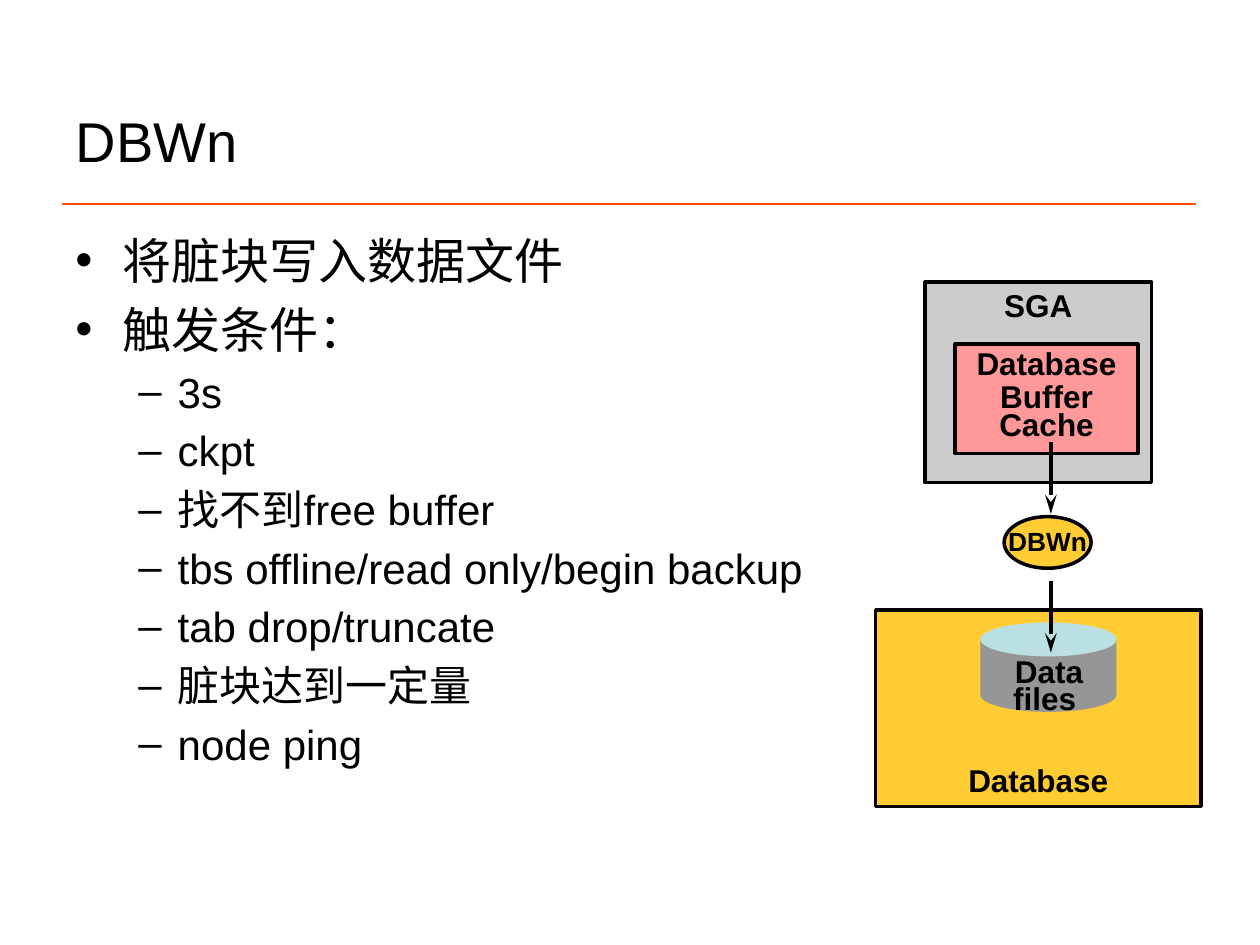
from lxml.etree import SubElement
from pptx import Presentation
from pptx.dml.color import RGBColor
from pptx.enum.shapes import MSO_CONNECTOR, MSO_SHAPE
from pptx.enum.text import MSO_ANCHOR, PP_ALIGN
from pptx.oxml.ns import qn
from pptx.util import Pt

FONT = "Arial"
BLACK = RGBColor(0x00, 0x00, 0x00)
ORANGE = RGBColor(0xFE, 0x4D, 0x11)
AMBER = RGBColor(0xFF, 0xCC, 0x33)
SILVER = RGBColor(0xCC, 0xCC, 0xCC)
GRAY = RGBColor(0x96, 0x96, 0x96)
PINK = RGBColor(0xFF, 0x99, 0x99)
PALE_BLUE = RGBColor(0xBB, 0xE0, 0xE3)

# Per level: bullet, left indent, hanging indent, size, space before
LEVELS = [("•", 27, 27, 28, 5.6), ("–", 58.5, 22.5, 24, 4.7)]
BULLETS = [
    (0, "将脏块写入数据文件"),
    (0, "触发条件："),
    (1, "3s"),
    (1, "ckpt"),
    (1, "找不到free buffer"),
    (1, "tbs offline/read only/begin backup"),
    (1, "tab drop/truncate"),
    (1, "脏块达到一定量"),
    (1, "node ping"),
]


def add_run(p, text, size, bold=False):
    r = p.add_run()
    r.text = text
    r.font.name = FONT
    r.font.size = Pt(size)
    r.font.bold = bold
    r.font.color.rgb = BLACK


def add_label(p, text, spacing, size=18):
    p.alignment = PP_ALIGN.CENTER
    p.line_spacing = spacing
    add_run(p, text, size, bold=True)


def add_block(shapes, kind, box, fill, outlined=True, anchor=MSO_ANCHOR.MIDDLE):
    sp = shapes.add_shape(kind, *map(Pt, box))
    sp.shadow.inherit = False
    sp.fill.solid()
    sp.fill.fore_color.rgb = fill
    if outlined:
        sp.line.color.rgb = BLACK
        sp.line.width = Pt(2)
    else:
        sp.line.fill.background()
    tf = sp.text_frame
    tf.word_wrap = False
    tf.vertical_anchor = anchor
    tf.margin_left = tf.margin_right = tf.margin_top = tf.margin_bottom = Pt(3.6)
    return tf


def add_line(s, x1, y1, x2, y2, color, width, arrow=False):
    line = s.shapes.add_connector(MSO_CONNECTOR.STRAIGHT, *map(Pt, (x1, y1, x2, y2)))
    line.line.color.rgb = color
    line.line.width = Pt(width)
    if arrow:
        SubElement(line.line._get_or_add_ln(), qn("a:tailEnd"), type="stealth", len="lg")
    SubElement(line._element.spPr, qn("a:effectLst"))


def add_title(s, x, y, w, h):
    sp = s.shapes.title
    sp.left, sp.top, sp.width, sp.height = map(Pt, (x, y, w, h))
    tf = sp.text_frame
    tf.vertical_anchor = MSO_ANCHOR.MIDDLE
    p = tf.paragraphs[0]
    p.alignment = PP_ALIGN.LEFT
    add_run(p, "DBWn", 32)
    # Rule under the title
    rule_y = y + 56.2
    add_line(s, x - 0.7, rule_y, x + w - 0.7, rule_y, ORANGE, 1)


def add_bullets(s, x, y, w, h):
    tf = s.shapes.add_textbox(*map(Pt, (x, y, w, h))).text_frame
    tf.word_wrap = True
    for i, (level, text) in enumerate(BULLETS):
        mark, left, hang, size, before = LEVELS[level]
        p = tf.add_paragraph() if i else tf.paragraphs[0]
        p.level = level
        p.space_before = Pt(before if i else 0)
        pPr = p._p.get_or_add_pPr()
        pPr.set("marL", str(Pt(left)))
        pPr.set("indent", str(-Pt(hang)))
        SubElement(pPr, qn("a:buFont"), typeface=FONT)
        SubElement(pPr, qn("a:buChar"), char=mark)
        add_run(p, text, size)


def add_cylinder(s, x, y, w, h):
    cap = 19.4
    shapes = s.shapes.add_group_shape().shapes
    for kind, box, fill in (
        (MSO_SHAPE.RECTANGLE, (x, y + cap / 2, w, h - cap), GRAY),
        (MSO_SHAPE.OVAL, (x, y, w, cap), PALE_BLUE),
        (MSO_SHAPE.OVAL, (x, y + h - cap, w, cap), GRAY),
    ):
        add_block(shapes, kind, box, fill, outlined=False)
    # Label wraps onto two lines
    tf = s.shapes.add_textbox(*map(Pt, (x - 8.6, y + 18.7, 95.8, 38.9))).text_frame
    tf.word_wrap = True
    tf.margin_left = tf.margin_right = Pt(7.9)
    tf.margin_top = tf.margin_bottom = Pt(4.3)
    add_label(tf.paragraphs[0], "Data files ", 0.7)


def add_write_diagram(s, x, y, w, h):
    # Database
    tf = add_block(s.shapes, MSO_SHAPE.RECTANGLE, (x, y + h - 112.3, w, 112.3),
                   AMBER, anchor=MSO_ANCHOR.BOTTOM)
    add_label(tf.paragraphs[0], "Database", 0.95)
    # SGA
    tf = add_block(s.shapes, MSO_SHAPE.RECTANGLE, (x + 28.1, y, 129.6, 114.5),
                   SILVER, anchor=MSO_ANCHOR.TOP)
    add_label(tf.paragraphs[0], "SGA", 0.95)
    add_cylinder(s, x + 59.8, y + 194.4, 77.8, 51.1)
    # Writer process
    tf = add_block(s.shapes, MSO_SHAPE.OVAL, (x + 73.4, y + 133.9, 49.7, 29.5), AMBER)
    add_label(tf.paragraphs[0], "DBWn", 0.95, 15)
    # Buffer cache
    tf = add_block(s.shapes, MSO_SHAPE.RECTANGLE, (x + 45.4, y + 35.3, 104.4, 62.6), PINK)
    add_label(tf.paragraphs[0], "Database", 0.65)
    p = tf.add_paragraph()
    p.space_before = Pt(3)
    add_label(p, "Buffer", 0.75)
    p.add_line_break()
    add_label(p, "Cache", 0.75)
    # Arrows into the data files and the writer
    for top in (170.6, 91.4):
        add_line(s, x + 100.1, y + top, x + 100.1, y + top + 41, BLACK, 2.25, arrow=True)


def main():
    prs = Presentation()
    prs.slide_width, prs.slide_height = Pt(720), Pt(540)
    s = prs.slides.add_slide(prs.slide_layouts[5])
    add_title(s, 36, 60.5, 648, 39.6)
    add_bullets(s, 36, 128.2, 492.5, 362.9)
    add_write_diagram(s, 500.4, 161.3, 185.8, 299.5)
    prs.save("out.pptx")


if __name__ == "__main__":
    main()
